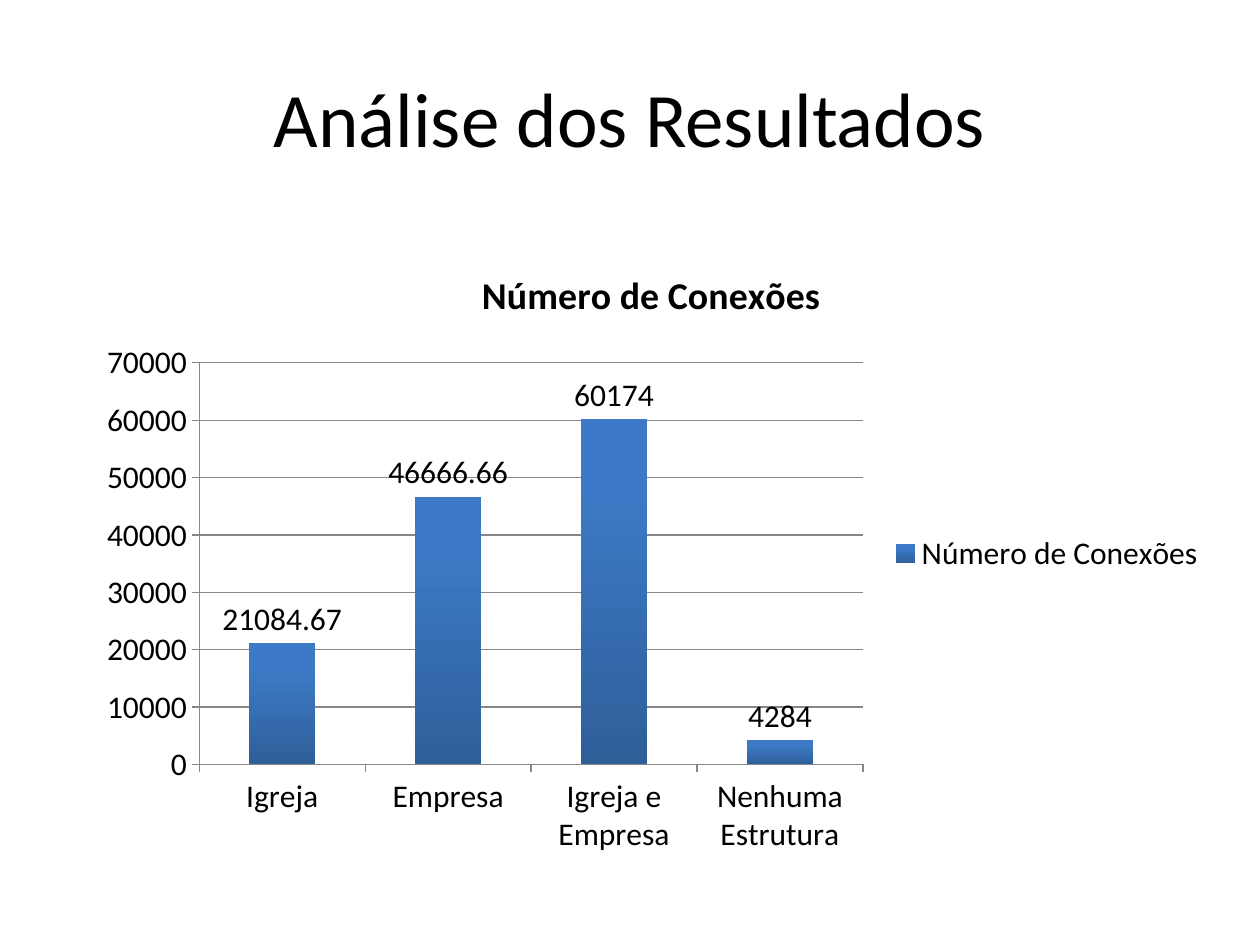
from dataclasses import dataclass

from pptx import Presentation
from pptx.chart.data import CategoryChartData
from pptx.dml.color import RGBColor
from pptx.enum.chart import XL_CHART_TYPE, XL_LABEL_POSITION, XL_LEGEND_POSITION, XL_TICK_MARK
from pptx.enum.text import MSO_ANCHOR, PP_ALIGN
from pptx.util import Cm, Pt

COLUMNS = XL_CHART_TYPE.COLUMN_CLUSTERED
LABEL_ABOVE = XL_LABEL_POSITION.OUTSIDE_END
LEGEND_RIGHT = XL_LEGEND_POSITION.RIGHT
TICK_OUTSIDE = XL_TICK_MARK.OUTSIDE
MIDDLE = MSO_ANCHOR.MIDDLE
CENTER = PP_ALIGN.CENTER


@dataclass(frozen=True)
class Theme:
    font: str = "Calibri"
    text: RGBColor = RGBColor(0x00, 0x00, 0x00)
    line: RGBColor = RGBColor(0x87, 0x87, 0x87)
    bar_bottom: RGBColor = RGBColor(0x2E, 0x5F, 0x99)
    bar_top: RGBColor = RGBColor(0x3C, 0x7A, 0xC7)
    heading_size: Pt = Pt(44)
    chart_title_size: Pt = Pt(21.6)
    chart_size: Pt = Pt(18)


THEME = Theme()

CONNECTIONS = {
    "Igreja": 21084.67,
    "Empresa": 46666.66,
    "Igreja e Empresa": 60174,
    "Nenhuma Estrutura": 4284,
}


def style_font(font, size, bold=False):
    font.name = THEME.font
    font.size = size
    font.bold = bold
    font.color.rgb = THEME.text


def style_line(line):
    line.color.rgb = THEME.line
    line.width = Pt(0.75)


def add_heading(slide, box, wording):
    frame = slide.shapes.add_textbox(*box).text_frame
    frame.word_wrap = True
    frame.vertical_anchor = MIDDLE
    heading = frame.paragraphs[0]
    heading.text = wording
    heading.alignment = CENTER
    style_font(heading.runs[0].font, THEME.heading_size)


def add_connections_chart(slide, box, name, values):
    data = CategoryChartData()
    data.categories = list(values)
    data.add_series(name, list(values.values()))
    chart = slide.shapes.add_chart(COLUMNS, *box, data).chart
    style_font(chart.font, THEME.chart_size)

    # Title and legend
    chart.has_title = True
    chart_title = chart.chart_title.text_frame.paragraphs[0]
    chart_title.text = name
    style_font(chart_title.runs[0].font, THEME.chart_title_size, bold=True)
    chart.has_legend = True
    chart.legend.position = LEGEND_RIGHT
    chart.legend.include_in_layout = False

    # Axes
    for axis in (chart.category_axis, chart.value_axis):
        axis.major_tick_mark = TICK_OUTSIDE
        style_line(axis.format.line)
    chart.value_axis.has_major_gridlines = True
    style_line(chart.value_axis.major_gridlines.format.line)

    # Columns, shaded from bottom to top
    plot = chart.plots[0]
    plot.vary_by_categories = False
    plot.gap_width = 150
    shade = plot.series[0].format.fill
    shade.gradient()
    shade.gradient_angle = 90
    stops = ((0, THEME.bar_bottom), (0.8, THEME.bar_top))
    for stop, (position, color) in zip(shade.gradient_stops, stops):
        stop.position = position
        stop.color.rgb = color

    # Value labels
    plot.has_data_labels = True
    labels = plot.data_labels
    labels.show_value = True
    labels.position = LABEL_ABOVE
    style_font(labels.font, THEME.chart_size)


def main():
    deck = Presentation()
    deck.slide_width, deck.slide_height = Cm(25.4), Cm(19.05)
    slide = deck.slides.add_slide(deck.slide_layouts[6])
    add_heading(slide, (Cm(1.27), Cm(0.76), Cm(22.86), Cm(3.18)), "Análise dos Resultados")
    add_connections_chart(
        slide, (Cm(1.7), Cm(4.88), Cm(22.86), Cm(12.57)), "Número de Conexões", CONNECTIONS
    )
    deck.save("out.pptx")


if __name__ == "__main__":
    main()
